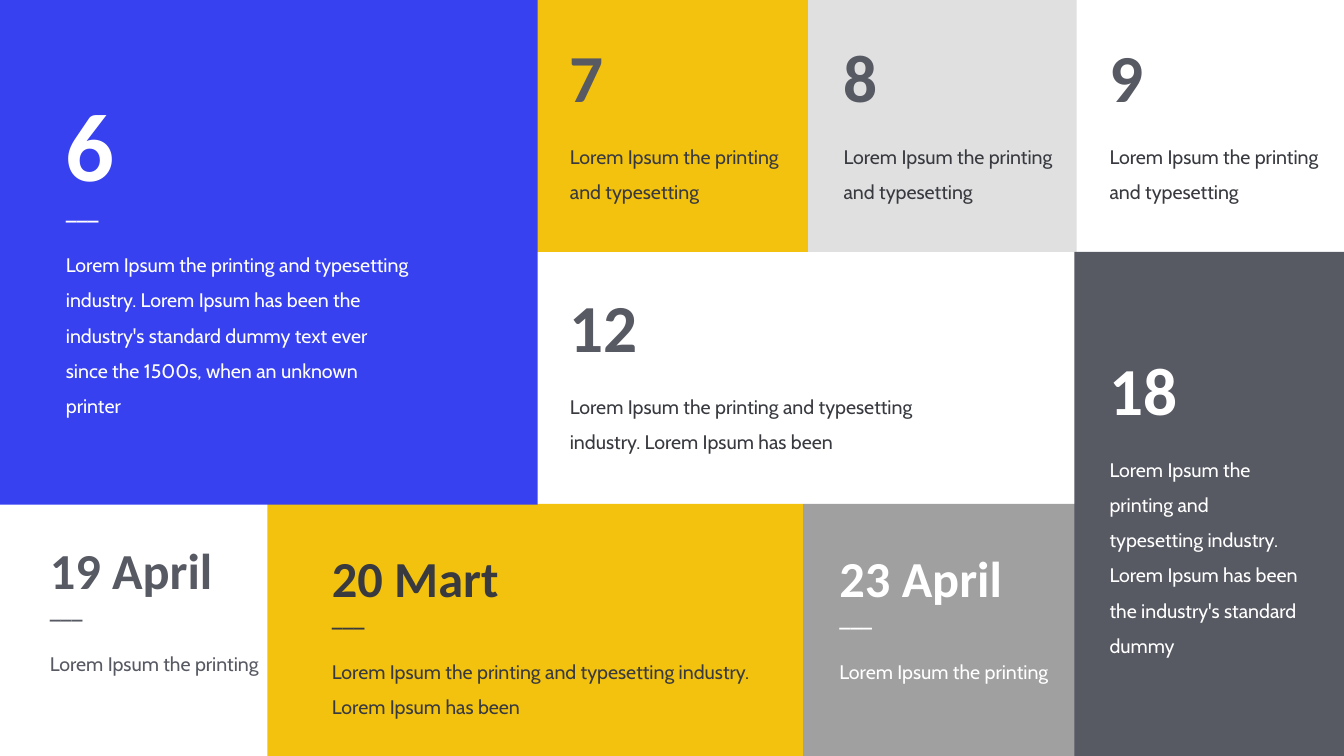
from pptx import Presentation
from pptx.dml.color import RGBColor
from pptx.enum.shapes import MSO_SHAPE
from pptx.util import Pt

WHITE = RGBColor(0xFF, 0xFF, 0xFF)
BLUE = RGBColor(0x38, 0x41, 0xEF)
GOLD = RGBColor(0xF3, 0xC2, 0x0E)
PALE = RGBColor(0xE0, 0xE0, 0xE0)
GRAY = RGBColor(0xA0, 0xA0, 0xA0)
SLATE = RGBColor(0x57, 0x59, 0x63)
INK = RGBColor(0x38, 0x3A, 0x40)

SHORT = "Lorem Ipsum\u00a0the printing"
PAIR = SHORT + " and typesetting"
LINE = PAIR + " industry. Lorem Ipsum has been"
LONG = LINE + " the industry's standard dummy"
FULL = LONG + " text ever since the 1500s, when an unknown printer"

# Box of the tile, fill, box of the text inside it,
# heading, heading size, heading colour, body, body colour, dash
DAYS = [
    ((1147, 720, 773, 360), GRAY, (45, 58, 323, 272),
     "23 April", 72, WHITE, SHORT, WHITE, True),
    ((1153, 0, 385, 360), PALE, (45, 47, 323, 259),
     "8", 96, SLATE, PAIR, INK, False),
    ((1535, 360, 385, 720), SLATE, (43, 134, 294, 444),
     "18", 96, WHITE, LONG, WHITE, False),
    ((0, 0, 1154, 360), GOLD, (807, 47, 323, 259),
     "7", 96, SLATE, PAIR, INK, False),
    ((382, 720, 765, 360), GOLD, (85, 58, 612, 255),
     "20 Mart", 72, INK, LINE, INK, True),
    ((-1, 0, 769, 721), BLUE, (88, 118, 505, 490),
     "6", 138, WHITE, FULL, WHITE, True),
    ((1535, 0, 385, 360), None, (43, 47, 323, 259),
     "9", 96, SLATE, PAIR, INK, False),
    ((769, 360, 766, 360), None, (38, 44, 595, 259),
     "12", 96, SLATE, LINE, INK, False),
    ((0, 720, 382, 360), None, (64, 47, 323, 272),
     "19 April", 72, SLATE, SHORT, SLATE, True),
]


def add_run(para, text, font, size, color, bold):
    """Add one formatted run to a paragraph."""
    run = para.add_run()
    run.text = text
    run.font.name = font
    run.font.size = Pt(size)
    run.font.bold = bold
    run.font.color.rgb = color


def add_tile(slide, box, fill, inner, head, size, tint, body, color, dash):
    """Draw one day: its panel, if filled, and the text placed within it."""
    left, top, width, height = box
    if fill is not None:
        panel = slide.shapes.add_shape(
            MSO_SHAPE.RECTANGLE, Pt(left), Pt(top), Pt(width), Pt(height))
        panel.shadow.inherit = False
        panel.fill.solid()
        panel.fill.fore_color.rgb = fill
        panel.line.fill.background()

    dx, dy, wide, high = inner
    frame = slide.shapes.add_textbox(
        Pt(left + dx), Pt(top + dy), Pt(wide), Pt(high)).text_frame
    frame.word_wrap = True
    para = frame.paragraphs[0]
    para.space_before = Pt(24)
    add_run(para, head, "Calibri", size, tint, True)
    if dash:
        add_run(frame.add_paragraph(), "___", "Cabin", 28, tint, True)
    para = frame.add_paragraph()
    para.space_before = Pt(24)
    para.line_spacing = 1.5
    add_run(para, body, "Cabin", 28, color, False)


def main():
    """Build the slide of days and save it."""
    deck = Presentation()
    deck.slide_width, deck.slide_height = Pt(1920), Pt(1080)
    slide = deck.slides.add_slide(deck.slide_layouts[6])
    for day in DAYS:
        add_tile(slide, *day)
    deck.save("out.pptx")


main()
